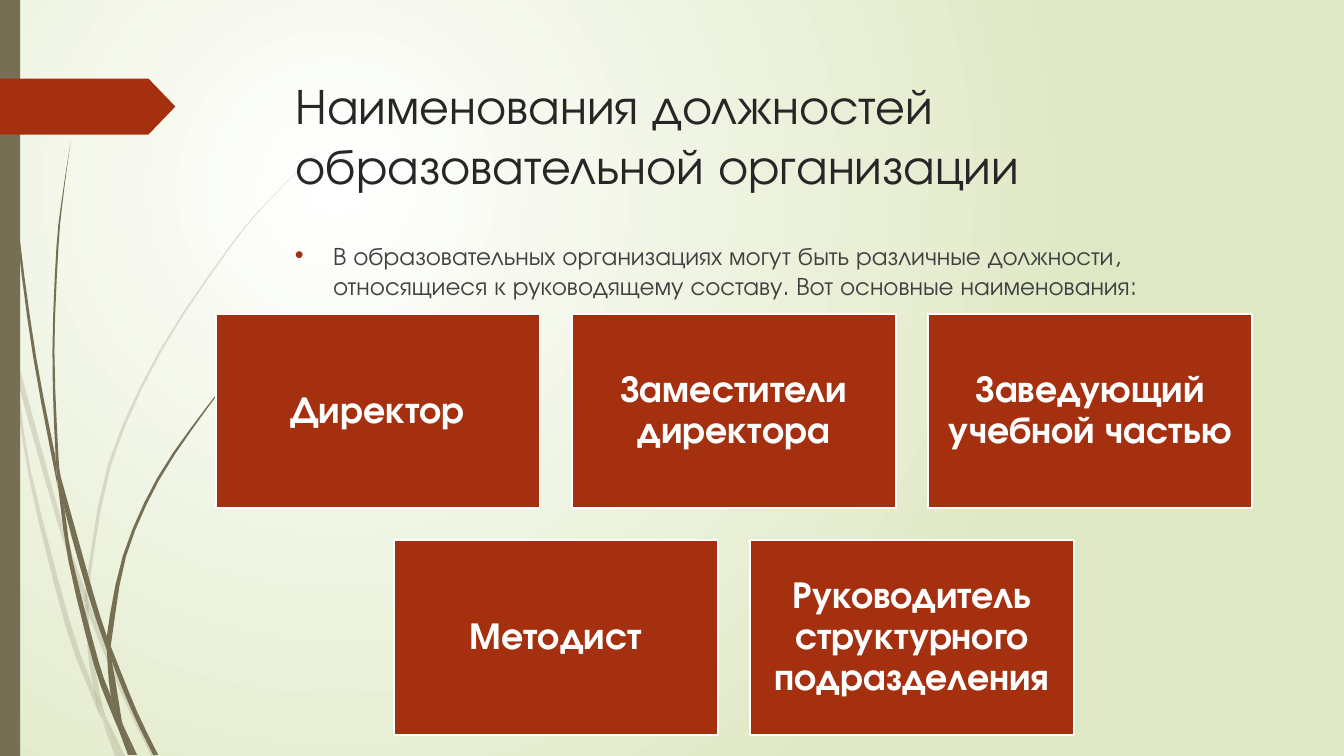
from lxml.etree import SubElement
from pptx import Presentation
from pptx.dml.color import RGBColor
from pptx.enum.shapes import MSO_SHAPE as Kind
from pptx.enum.text import MSO_ANCHOR as Anchor, MSO_AUTO_SIZE as Fit, PP_ALIGN as Align
from pptx.oxml.ns import qn
from pptx.util import Inches, Pt

WIDE, HIGH = Inches(13.33), Inches(7.5)
FONT = "TeX Gyre Adventor"
WHITE = RGBColor(0xFF, 0xFF, 0xFF)
PALE = RGBColor(0xDF, 0xE8, 0xC4)
OLIVE = RGBColor(0x76, 0x6F, 0x54)
RUST = RGBColor(0xA5, 0x30, 0x10)
DARK = RGBColor(0x26, 0x26, 0x26)
GREY = RGBColor(0x40, 0x40, 0x40)

TITLE = "Наименования должностей образовательной организации"
INTRO = ("В образовательных организациях могут быть различные должности, "
         "относящиеся к руководящему составу. Вот основные наименования:")
ROWS = [["Директор", "Заместители директора", "Заведующий учебной частью"],
        ["Методист", "Руководитель структурного подразделения"]]

# Cards, in percent of the slide: first corner, size, steps
LEFT, TOP = 16.05, 41.5
CARD_W, CARD_H = 24.1, 25.75
STEP_X, STEP_Y = 26.51, 29.95

# Pieces of grass, in inches: one edge out, the other edge back
FAINT = [
    ([(0.11, 3.5), (0.09, 3.22), (0, 2.82)], [(0, 2.99), (0.1, 3.44), (0.11, 3.5)]),
    ([(0.14, 3.45), (0.17, 3.76), (0.58, 5.22), (0.84, 5.99)],
     [(0.85, 5.86), (0.62, 5.2), (0.14, 3.45)]),
    ([(0.88, 5.96), (0.88, 6.1), (1.23, 6.94), (1.5, 7.5)],
     [(1.55, 7.5), (1.27, 6.92), (0.92, 6.07), (0.88, 5.96)]),
    ([(1.05, 7.11), (1.19, 7.5)], [(1.24, 7.5), (1.05, 7.11)]),
    ([(0.11, 3.5), (0.28, 4.7), (0.65, 6.21), (0.92, 6.93), (1.01, 7.14)],
     [(0.99, 7.07), (0.93, 6.83), (0.7, 6.19), (0.31, 4.69), (0.17, 3.76), (0.11, 3.5)]),
    ([(0.84, 5.99), (0.87, 6.46), (0.93, 6.83), (1.05, 7.11)],
     [(1.03, 7.06), (0.91, 6.46), (0.88, 6.1), (0.84, 5.99)]),
    ([(0.88, 5.96), (0.88, 5.84), (1.1, 4.62), (1.6, 3.49), (2.29, 2.45), (2.68, 1.98), (3.12, 1.54)],
     [(3.12, 1.53), (2.68, 1.97), (2.28, 2.44), (1.58, 3.48), (1.07, 4.61), (0.85, 5.84), (0.88, 5.96)]),
    ([(1.01, 7.14), (1.14, 7.5)], [(1.19, 7.5), (1.01, 7.14)]),
    ([(0.88, 6.08), (0.88, 5.96)], [(0.85, 5.86), (0.84, 5.99), (0.88, 6.08)]),
    ([(0.93, 6.83), (0.99, 7.07), (1.19, 7.5)], [(1.19, 7.5), (1.05, 7.11), (0.93, 6.83)]),
]
SOLID = [
    ([(0.03, 0), (0.04, 0.48), (0.07, 1.1), (0.17, 2.33), (0.33, 3.55), (0.56, 4.77), (0.57, 4.81)],
     [(0.55, 4.53), (0.36, 3.55), (0.19, 2.32), (0.08, 1.09), (0.05, 0.48), (0.04, 0)]),
    ([(0.6, 4.72), (0.64, 5.05), (0.88, 5.92), (1.06, 6.45)],
     [(1.06, 6.31), (0.93, 5.9), (0.6, 4.72)]),
    ([(1.1, 6.41), (1.11, 6.56), (1.32, 7.08), (1.52, 7.49)],
     [(1.57, 7.49), (1.36, 7.06), (1.13, 6.49), (1.1, 6.41)]),
    ([(0.57, 4.77), (0.68, 5.57), (0.93, 6.59), (1.11, 7.08), (1.17, 7.22)],
     [(1.16, 7.17), (1.1, 6.91), (0.98, 6.57), (0.72, 5.56), (0.64, 5.05), (0.57, 4.77)]),
    ([(0.6, 4.72), (0.58, 4.53), (0.54, 3.49), (0.58, 2.45), (0.63, 1.93), (0.7, 1.41)],
     [(0.7, 1.41), (0.62, 1.93), (0.56, 2.45), (0.52, 3.49), (0.55, 4.49), (0.6, 4.72)]),
    ([(1.22, 7.19), (1.33, 7.49)], [(1.36, 7.49), (1.22, 7.19)]),
    ([(0.55, 4.49), (0.57, 4.77), (0.64, 5.05)], [(0.64, 5.05), (0.6, 4.72), (0.55, 4.49)]),
    ([(1.1, 6.41), (1.11, 6.33), (1.25, 5.52), (1.58, 4.76), (2.05, 4.06), (2.31, 3.74), (2.61, 3.44)],
     [(2.6, 3.44), (2.31, 3.73), (2.04, 4.05), (1.56, 4.74), (1.22, 5.51), (1.06, 6.31), (1.1, 6.41)]),
    ([(1.17, 7.22), (1.27, 7.49)], [(1.31, 7.49), (1.17, 7.22)]),
    ([(1.06, 6.45), (1.1, 6.91), (1.22, 7.19)], [(1.21, 7.16), (1.11, 6.56), (1.06, 6.45)]),
    ([(1.06, 6.31), (1.06, 6.45), (1.11, 6.56)], [(1.1, 6.41), (1.06, 6.31)]),
    ([(1.1, 6.91), (1.17, 7.22), (1.3, 7.49)], [(1.33, 7.49), (1.22, 7.19), (1.1, 6.91)]),
]


def area(*spot):
    """Turn percent of the slide into lengths."""
    return [int(part * size / 100) for part, size in zip(spot, (WIDE, HIGH) * 2)]


def paint(shape, color, line=None, alpha=None):
    shape.shadow.inherit = False
    shape.fill.solid()
    shape.fill.fore_color.rgb = color
    if alpha:
        tone = shape.element.spPr.find(f"{qn('a:solidFill')}/{qn('a:srgbClr')}")
        SubElement(tone, qn("a:alpha"), val=str(alpha * 1000))
    if line:
        shape.line.color.rgb = line
        shape.line.width = Pt(1.25)
    else:
        shape.line.fill.background()


def write(shape, text, size=18, color=GREY, bold=False, align=Align.LEFT,
          anchor=Anchor.TOP, inset=None, lead=1.0, before=0):
    frame = shape.text_frame
    frame.word_wrap = True
    frame.auto_size = Fit.NONE
    frame.vertical_anchor = anchor
    if inset:
        frame.margin_left = frame.margin_right = inset
        frame.margin_top = frame.margin_bottom = inset
    para = frame.paragraphs[0]
    para.alignment, para.line_spacing, para.space_before = align, lead, Pt(before)
    run = para.add_run()
    run.text = text
    font = run.font
    font.name, font.size, font.bold = FONT, Pt(size), bold
    font.color.rgb = color
    return para


def bullet(para, color):
    props = para._p.get_or_add_pPr()
    props.set("marL", str(Inches(0.38)))
    props.set("indent", str(-Inches(0.38)))
    SubElement(SubElement(props, qn("a:buClr")), qn("a:srgbClr"), val=str(color))
    SubElement(props, qn("a:buFont"), typeface="Arial")
    SubElement(props, qn("a:buChar"), char="•")


def smooth(dots, parts=3):
    """Run a Catmull-Rom curve through the dots."""
    ends = [dots[0], *dots, dots[-1]]
    curve = [dots[0]]
    for a, b, c, d in zip(ends, ends[1:], ends[2:], ends[3:]):
        for step in range(1, parts + 1):
            t = step / parts
            curve.append(tuple(
                (2 * q + (r - p) * t + (2 * p - 5 * q + 4 * r - s) * t ** 2
                 + (3 * q - p - 3 * r + s) * t ** 3) / 2
                for p, q, r, s in zip(a, b, c, d)))
    return curve


def blade(slide, out, back, alpha=None):
    first, *rest = [(Inches(x), Inches(y)) for x, y in smooth(out) + smooth(back)]
    pen = slide.shapes.build_freeform(*first)
    pen.add_line_segments(rest, close=True)
    paint(pen.convert_to_shape(), OLIVE, alpha=alpha)


def block(slide, kind, spot, color, line=None):
    shape = slide.shapes.add_shape(kind, *area(*spot))
    paint(shape, color, line)
    return shape


def backdrop(slide):
    fill = slide.background.fill
    fill.gradient()
    for stop, color, place in zip(fill.gradient_stops, (WHITE, PALE), (0, 1)):
        stop.color.rgb, stop.position = color, place
    grad = slide.element.find(f".//{qn('a:gradFill')}")
    grad.remove(grad.find(qn("a:lin")))
    ring = SubElement(grad, qn("a:path"), path="circle")
    SubElement(ring, qn("a:fillToRect"), l="50000", t="50000", r="100000", b="100000")


def cards(slide):
    most = max(map(len, ROWS))
    for row, names in enumerate(ROWS):
        shift = (most - len(names)) / 2  # centre the shorter row
        for col, name in enumerate(names):
            spot = (LEFT + (col + shift) * STEP_X, TOP + row * STEP_Y, CARD_W, CARD_H)
            card = block(slide, Kind.RECTANGLE, spot, RUST, WHITE)
            write(card, name, size=27, color=WHITE, bold=True, align=Align.CENTER,
                  anchor=Anchor.MIDDLE, inset=Inches(0.11), lead=0.9)


def main():
    deck = Presentation()
    deck.slide_width, deck.slide_height = WIDE, HIGH
    slide = deck.slides.add_slide(deck.slide_layouts[5])
    # Background, grass, side bar and tag
    backdrop(slide)
    for pieces, alpha in ((FAINT, 20), (SOLID, None)):
        for edges in pieces:
            blade(slide, *edges, alpha=alpha)
    block(slide, Kind.RECTANGLE, (0, 0, 1.5, 100), OLIVE)
    tag = block(slide, Kind.PENTAGON, (0, 10.4, 13.05, 7.4), RUST)
    tag.adjustments[0] = 0.48
    # Title, in front of the grass
    title = slide.shapes.title
    slide.shapes.element.append(title.element)
    title.left, title.top, title.width, title.height = area(21.25, 9.07, 73.14, 18.67)
    write(title, TITLE, size=36, color=DARK)
    # Intro and cards
    intro = slide.shapes.add_textbox(*area(21.2, 31.07, 73.14, 55.07))
    bullet(write(intro, INTRO, before=10), RUST)
    cards(slide)
    deck.save("out.pptx")


if __name__ == "__main__":
    main()
